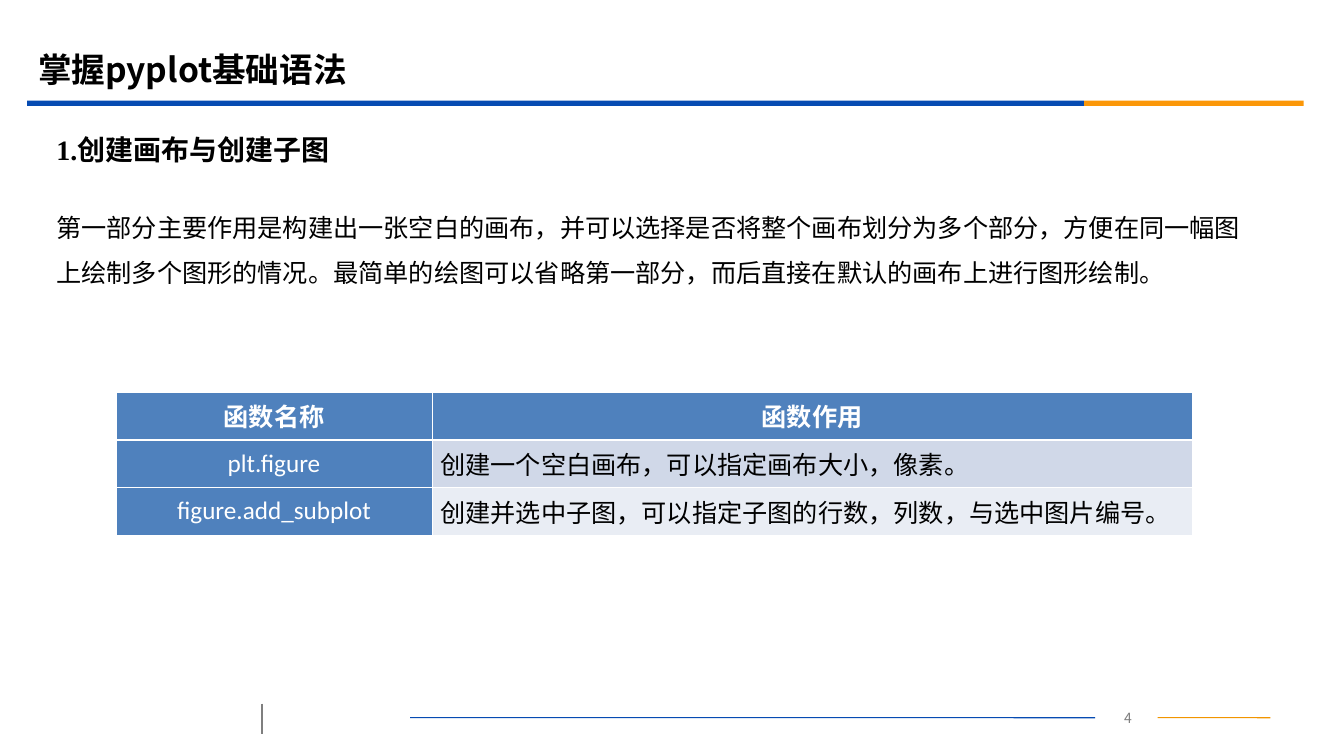
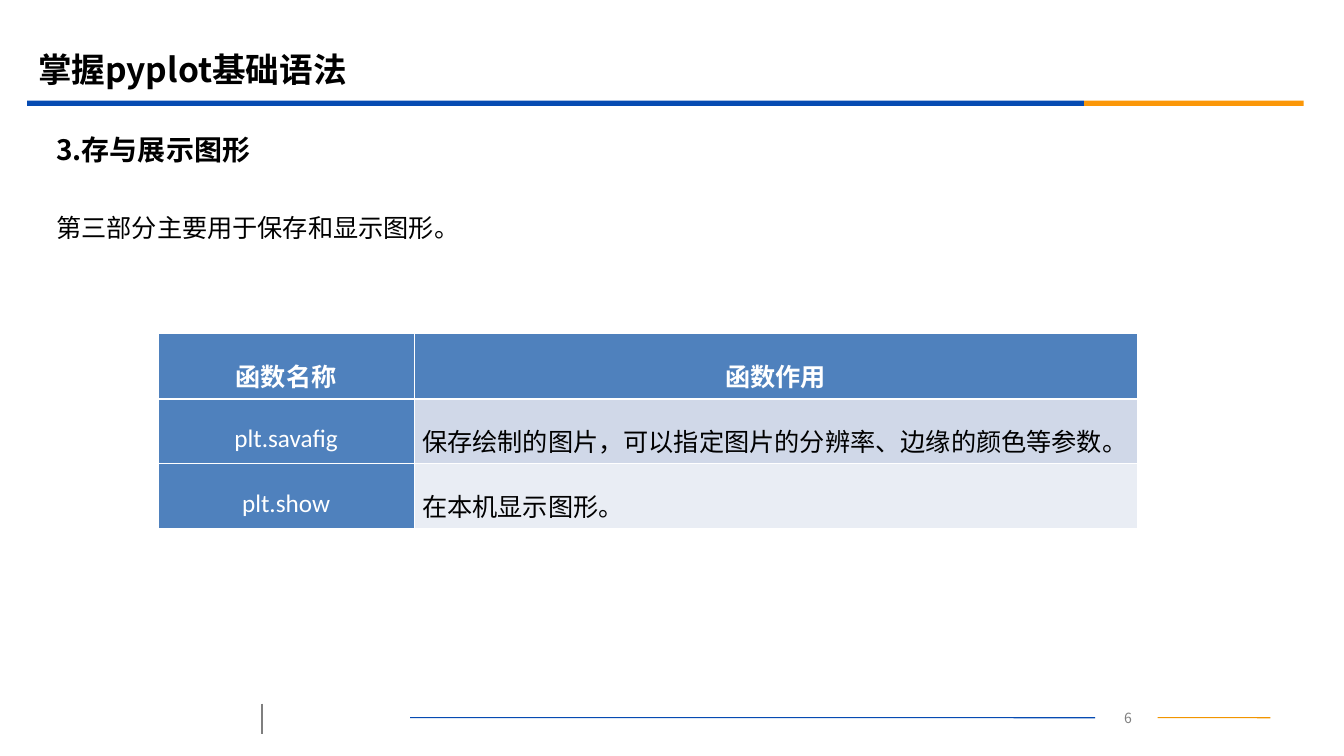
from lxml.etree import SubElement
from pptx import Presentation
from pptx.dml.color import RGBColor
from pptx.enum.shapes import MSO_CONNECTOR, MSO_SHAPE
from pptx.enum.text import MSO_ANCHOR, PP_ALIGN
from pptx.oxml.ns import qn
from pptx.util import Inches, Pt

WIDTH, HEIGHT = Inches(13.34), Inches(7.5)
BLUE, ORANGE, FOOTER_ORANGE = "064BB2", "FB9708", "F19500"
BLACK, WHITE, GREY = "000000", "FFFFFF", "7F7F7F"
HEADER_FILL, BAND_FILLS = "4F81BD", ("D0D8E8", "E9EDF4")
CJK, LATIN, SERIF = "Noto Sans CJK SC", "Calibri", "Times New Roman"

TITLE = "掌握pyplot基础语法"
TABLE_HEADER = ("函数名称", "函数作用")
ROW_HEIGHT, TALL_ROW_HEIGHT = 6.3, 8.6
THIN, THICK = 0.45, 1.47


def rgb(color):
    return RGBColor.from_string(color)


def across(share):
    """Length as a percentage of the slide's width."""
    return int(WIDTH * share / 100)


def down(share):
    """Length as a percentage of the slide's height."""
    return int(HEIGHT * share / 100)


def frame(left, top, width, height):
    return across(left), down(top), across(width), down(height)


def write(text_frame, text, size, color=BLACK, bold=False, latin=CJK,
          align=PP_ALIGN.LEFT, spacing=1.0):
    paragraph = text_frame.paragraphs[0]
    paragraph.text = text
    paragraph.alignment = align
    paragraph.line_spacing = spacing
    font = paragraph.font
    font.size, font.bold, font.name = Pt(size), bold, latin
    font.color.rgb = rgb(color)
    defaults = paragraph._p.pPr.find(qn("a:defRPr"))
    SubElement(defaults, qn("a:ea")).set("typeface", CJK)


def add_text(slide, area, text, size, anchor=MSO_ANCHOR.TOP, **style):
    text_frame = slide.shapes.add_textbox(*frame(*area)).text_frame
    text_frame.word_wrap = True
    text_frame.vertical_anchor = anchor
    write(text_frame, text, size, **style)


def add_bar(slide, area, color):
    bar = slide.shapes.add_shape(MSO_SHAPE.RECTANGLE, *frame(*area))
    bar.shadow.inherit = False
    bar.fill.solid()
    bar.fill.fore_color.rgb = rgb(color)
    bar.line.fill.background()


def add_rule(slide, start, end, color, weight):
    rule = slide.shapes.add_connector(
        MSO_CONNECTOR.STRAIGHT, across(start[0]), down(start[1]),
        across(end[0]), down(end[1]))
    rule.line.color.rgb = rgb(color)
    rule.line.width = Pt(weight)
    SubElement(rule._element.spPr, qn("a:effectLst"))


def add_borders(cell, top, bottom):
    properties = cell._tc.get_or_add_tcPr()
    weights = {"lnL": THIN, "lnR": THIN, "lnT": top, "lnB": bottom}
    for side, weight in weights.items():
        border = SubElement(properties, qn(f"a:{side}"), w=str(int(Pt(weight))))
        fill = SubElement(border, qn("a:solidFill"))
        SubElement(fill, qn("a:srgbClr"), val=WHITE)


def fill_cell(cell, row, column, text, spacing):
    is_header, is_description = row == 0, row > 0 and column == 1
    add_borders(cell, THICK if row == 1 else THIN, THICK if is_header else THIN)
    cell.fill.solid()
    cell.fill.fore_color.rgb = rgb(
        BAND_FILLS[(row - 1) % 2] if is_description else HEADER_FILL)
    cell.vertical_anchor = MSO_ANCHOR.MIDDLE
    cell.margin_left = cell.margin_right = Inches(0.08)
    write(cell.text_frame, text, 18, bold=is_header, spacing=spacing,
          color=BLACK if is_description else WHITE,
          latin=CJK if is_header or is_description else LATIN,
          align=PP_ALIGN.JUSTIFY if is_description else PP_ALIGN.CENTER)


def add_function_table(slide, left, top, columns, functions,
                       row_height=ROW_HEIGHT, spacing=1.0):
    rows = [TABLE_HEADER, *functions]
    area = frame(left, top, sum(columns), row_height * len(rows))
    table = slide.shapes.add_table(len(rows), len(columns), *area).table
    for column, width in zip(table.columns, columns):
        column.width = across(width)
    for r, texts in enumerate(rows):
        table.rows[r].height = down(row_height)
        for c, text in enumerate(texts):
            fill_cell(table.cell(r, c), r, c, text, spacing)


def add_lesson_slide(deck, number, heading, body, heading_latin=CJK):
    """Slide with the shared title, bands and footer, a heading and a text."""
    slide = deck.slides.add_slide(deck.slide_layouts[6])
    add_text(slide, (81.6, 93.2, 4.65, 3.33), str(number), 10,
             color=GREY, align=PP_ALIGN.CENTER)
    add_rule(slide, (86.13, 94.93), (94.53, 94.94), FOOTER_ORANGE, 0.75)
    add_rule(slide, (30.51, 94.93), (81.48, 94.94), BLUE, 0.75)
    add_rule(slide, (19.49, 93.07), (19.49, 97.07), GREY, 1.25)
    add_bar(slide, (2.02, 13.33, 78.64, 0.67), BLUE)
    add_bar(slide, (80.66, 13.33, 16.34, 0.67), ORANGE)
    add_text(slide, (3.45, 25.4, 91.08, 63.73), body, 18, spacing=1.5)
    add_text(slide, (2.1, 5.2, 89.96, 7.73), TITLE, 24,
             anchor=MSO_ANCHOR.MIDDLE, bold=True)
    add_text(slide, (3.45, 16.6, 91.08, 6.27), heading, 20,
             anchor=MSO_ANCHOR.MIDDLE, bold=True, latin=heading_latin)
    return slide


def main():
    deck = Presentation()
    deck.slide_width, deck.slide_height = WIDTH, HEIGHT

    canvas = add_lesson_slide(
        deck, 4, "1.创建画布与创建子图",
        "第一部分主要作用是构建出一张空白的画布，并可以选择是否将整个画布划分为多个部分，"
        "方便在同一幅图上绘制多个图形的情况。最简单的绘图可以省略第一部分，"
        "而后直接在默认的画布上进行图形绘制。",
        heading_latin=SERIF)
    add_function_table(canvas, 8.62, 51.87, (23.54, 56.52), [
        ("plt.figure", "创建一个空白画布，可以指定画布大小，像素。"),
        ("figure.add_subplot",
         "创建并选中子图，可以指定子图的行数，列数，与选中图片编号。"),
    ])

    output = add_lesson_slide(
        deck, 6, "3.存与展示图形", "第三部分主要用于保存和显示图形。")
    add_function_table(output, 11.77, 44.13, (19.04, 53.82), [
        ("plt.savafig",
         "保存绘制的图片，可以指定图片的分辨率、边缘的颜色等参数。"),
        ("plt.show", "在本机显示图形。"),
    ], row_height=TALL_ROW_HEIGHT, spacing=1.5)

    deck.save("out.pptx")


if __name__ == "__main__":
    main()
